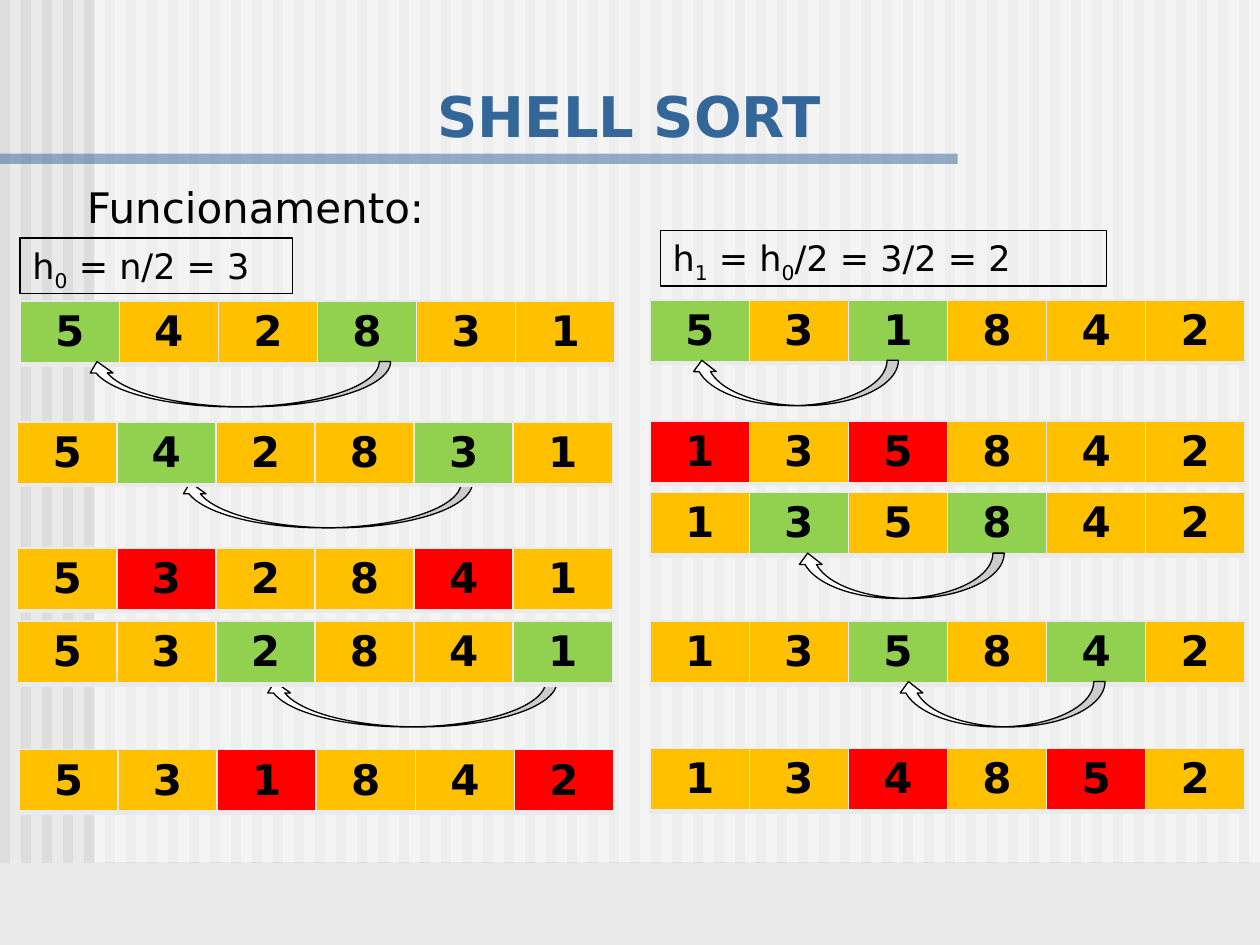
from lxml import etree
from pptx import Presentation, util as u
from pptx.dml.color import RGBColor
from pptx.enum import shapes, text
from pptx.oxml.ns import qn

FONT = "DejaVu Sans"
PLAIN, COMPARED, SWAPPED = "FFC000", "92D050", "FF0000"
BACKGROUND, BLUE, WHITE, BLACK = "EAEAEA", "336699", "FFFFFF", "000000"
STRIPES = 60
ROW_HEIGHT, ARROW_DROP, ARROW_DEPTH = 4, 4.8, 3.6

# Column, row, values, marked cells, mark colour, arrow (column, span, behind the table)
STEPS = [
    (1.6, 23.9, "542831", (0, 3), COMPARED, (6.8, 24.2, False)),
    (1.4, 33.5, "542831", (1, 4), COMPARED, (14.2, 23.3, True)),
    (1.4, 43.5, "532841", (1, 4), SWAPPED, None),
    (1.4, 49.3, "532841", (2, 5), COMPARED, (20.9, 23.3, True)),
    (1.5, 59.5, "531842", (2, 5), SWAPPED, None),
    (51.6, 23.8, "531842", (0, 2), COMPARED, (54.8, 16.5, False)),
    (51.6, 33.4, "135842", (0, 2), SWAPPED, None),
    (51.6, 39.1, "135842", (1, 3), COMPARED, (63.2, 16.5, False)),
    (51.6, 49.3, "135842", (2, 4), COMPARED, (71.2, 16.5, False)),
    (51.6, 59.4, "134852", (2, 4), SWAPPED, None),
]


def colour(value):
    return RGBColor.from_string(value)


def write(paragraph, content, size=24, color=BLACK, bold=False,
          align=text.PP_ALIGN.LEFT, subscript=False):
    paragraph.alignment = align
    run = paragraph.add_run()
    run.text = content
    font = run.font
    font.name, font.size, font.bold = FONT, u.Pt(size), bold
    font.color.rgb = colour(color)
    if subscript:
        run._r.get_or_add_rPr().set("baseline", "-25000")


def add_border(cell, side, color, points):
    line = etree.SubElement(cell._tc.get_or_add_tcPr(), qn(f"a:ln{side}"),
                            w=str(u.Pt(points)))
    fill = etree.SubElement(line, qn("a:solidFill"))
    etree.SubElement(fill, qn("a:srgbClr"), val=color)


class Board:
    """Places elements on a grid of 100 columns by 75 rows."""

    def __init__(self, presentation):
        self.slide = presentation.slides.add_slide(presentation.slide_layouts[5])
        self.column = presentation.slide_width / 100
        self.row = presentation.slide_height / 75
        background = self.slide.background.fill
        background.solid()
        background.fore_color.rgb = colour(BACKGROUND)

    def box(self, column, row, columns, rows):
        return [u.Emu(round(n)) for n in (column * self.column, row * self.row,
                                          columns * self.column, rows * self.row)]

    def shape(self, kind, place, fill=None, line=None, alpha=None):
        shape = self.slide.shapes.add_shape(kind, *self.box(*place))
        shape.shadow.inherit = False
        if fill:
            shape.fill.solid()
            shape.fill.fore_color.rgb = colour(fill)
        else:
            shape.fill.background()
        if line:
            shape.line.color.rgb = colour(line)
            shape.line.width = u.Pt(0.75)
        else:
            shape.line.fill.background()
        if alpha:
            value = shape.element.spPr.find(f"{qn('a:solidFill')}/{qn('a:srgbClr')}")
            etree.SubElement(value, qn("a:alpha"), val=str(alpha * 1000))
        return shape

    def bar(self, *place, fill, alpha=None):
        self.shape(shapes.MSO_SHAPE.RECTANGLE, place, fill, alpha=alpha)

    def title(self, content, *place):
        title = self.slide.shapes.title
        title.element.getparent().append(title.element)  # bring in front of the bars
        title.left, title.top, title.width, title.height = self.box(*place)
        title.text_frame.vertical_anchor = text.MSO_ANCHOR.BOTTOM
        write(title.text_frame.paragraphs[0], content, size=32, color=BLUE,
              bold=True, align=text.PP_ALIGN.CENTER)

    def label(self, content, *place):
        label = self.slide.shapes.add_textbox(*self.box(*place))
        label.text_frame.word_wrap = True
        write(label.text_frame.paragraphs[0], content)

    def formula(self, parts, *place):
        """Framed formula; every second part is a subscript."""
        frame = self.shape(shapes.MSO_SHAPE.RECTANGLE, place, line=BLACK).text_frame
        frame.vertical_anchor = text.MSO_ANCHOR.TOP
        for index, part in enumerate(parts):
            write(frame.paragraphs[0], part, size=20, subscript=index % 2 == 1)

    def arrow(self, column, row, span):
        """Curved arrow turned a quarter, given by the area it covers once turned."""
        shift = (span - ARROW_DEPTH) / 2
        place = (column + shift, row - shift, ARROW_DEPTH, span)
        arrow = self.shape(shapes.MSO_SHAPE.CURVED_LEFT_ARROW, place, WHITE, BLACK)
        arrow.rotation = 90

    def array(self, column, row, values, marked, mark):
        place = self.box(column, row, 47.2, ROW_HEIGHT)
        table = self.slide.shapes.add_table(1, len(values), *place).table
        table.first_row = table.horz_banding = False
        for index, value in enumerate(values):
            cell = table.cell(0, index)
            for side, points in zip("LRTB", (1, 1, 1, 3)):
                add_border(cell, side, BACKGROUND, points)
            cell.fill.solid()
            cell.fill.fore_color.rgb = colour(mark if index in marked else PLAIN)
            write(cell.text_frame.paragraphs[0], value, bold=True,
                  align=text.PP_ALIGN.CENTER)

    def step(self, column, row, values, marked, mark, arrow):
        start, span, behind = arrow or (0, 0, False)
        if behind:
            self.arrow(start, row + ARROW_DROP, span)
        self.array(column, row, values, marked, mark)
        if arrow and not behind:
            self.arrow(start, row + ARROW_DROP, span)


def main():
    presentation = Presentation()
    presentation.slide_width, presentation.slide_height = u.Inches(10), u.Inches(7.5)
    board = Board(presentation)
    for index in range(STRIPES):
        board.bar(index * 100 / STRIPES, -6.5, 0.8, 75, fill="DDDDDD")
    board.bar(7.5, -6.6, 92.6, 75, fill=WHITE, alpha=50)
    board.bar(0, 12.2, 76, 0.8, fill=BLUE, alpha=50)
    board.title("SHELL SORT", 3.3, 5.9, 93.3, 6.4)
    board.label("Funcionamento:", 5.9, 13.9, 42.5, 5)
    board.formula(["h", "0", " = n/2 = 3"], 1.6, 18.9, 21.6, 4.4)
    board.formula(["h", "1", " = h", "0", "/2 = 3/2 = 2"], 52.4, 18.3, 35.4, 4.4)
    for step in STEPS:
        board.step(*step)
    presentation.save("out.pptx")


if __name__ == "__main__":
    main()
